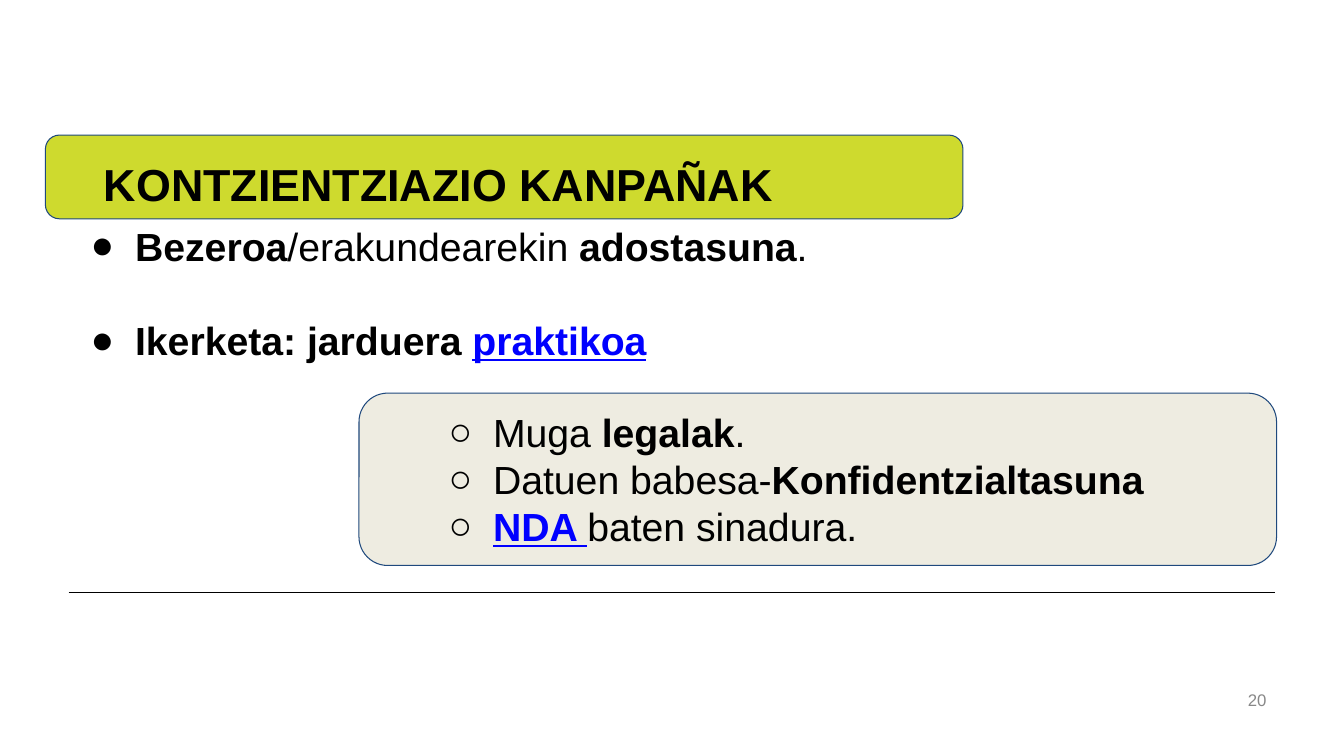
from dataclasses import dataclass

from lxml.etree import SubElement as Sub
from pptx import Presentation
from pptx.dml.color import RGBColor as RGB
from pptx.enum.shapes import MSO_CONNECTOR as Link, MSO_SHAPE as Form
from pptx.enum.text import MSO_ANCHOR as Anchor, MSO_AUTO_SIZE as Fit, PP_ALIGN as Align
from pptx.oxml.ns import qn
from pptx.slide import Slide
from pptx.text.text import TextFrame, _Paragraph as Para
from pptx.util import Inches, Pt

WIDE, HIGH = Inches(13.33), Inches(7.5)
BLACK = RGB(0x00, 0x00, 0x00)
LIME = RGB(0xCE, 0xDA, 0x2E)
SAND = RGB(0xEE, 0xEC, 0xE1)
NAVY = RGB(0x1F, 0x49, 0x7D)
BLUE = RGB(0x00, 0x00, 0xFF)
GREY = RGB(0x88, 0x88, 0x88)


@dataclass(frozen=True)
class Box:
    """A frame in percent of the slide's width and height."""
    left: float
    top: float
    width: float
    height: float

    def frame(self) -> tuple[int, int, int, int]:
        return (across(self.left), down(self.top),
                across(self.width), down(self.height))


@dataclass(frozen=True)
class Card:
    box: Box
    fill: RGB


@dataclass(frozen=True)
class Span:
    text: str
    bold: bool = False
    link: bool = False


@dataclass(frozen=True)
class Points:
    """A bulleted list; inset and indent in inches, gap in points."""
    slot: int
    box: Box
    mark: str
    level: int
    inset: float
    indent: float
    gap: float
    rows: tuple[tuple[Span, ...], ...]


CARDS = (
    Card(Box(3.38, 17.87, 68.27, 11.07), LIME),
    Card(Box(26.71, 52, 68.27, 22.8), SAND),
)
TITLE = Box(6.98, 19.33, 51.39, 6.53)
NUMBER = Box(71.64, 89.87, 23.33, 5.33)
LISTS = (
    Points(1, Box(5.55, 28.67, 80.42, 22.8), "●", 0, 0.05, 0.5, 34, (
        (Span("Bezeroa", True), Span("/erakundearekin "),
         Span("adostasuna", True), Span(".")),
        (Span("Ikerketa: jarduera ", True), Span("praktikoa", True, True)),
    )),
    Points(2, Box(28.43, 52.67, 71.57, 16.8), "○", 1, 0.1, 1, 0, (
        (Span("Muga "), Span("legalak", True), Span(".")),
        (Span("Datuen babesa-"), Span("Konfidentzialtasuna", True)),
        (Span("NDA ", True, True), Span("baten sinadura.")),
    )),
)


def across(share: float) -> int:
    return round(WIDE * share / 100)


def down(share: float) -> int:
    return round(HIGH * share / 100)


def set_up(text: TextFrame, inset: float, anchor: Anchor = Anchor.TOP) -> None:
    text.word_wrap = True
    text.auto_size = Fit.NONE
    text.vertical_anchor = anchor
    text.margin_left = text.margin_right = Inches(0.1)
    text.margin_top = text.margin_bottom = Inches(inset)


def style(para: Para, size: float, color: RGB, align: Align) -> None:
    para.alignment = align
    para.font.name = "Arial"
    para.font.size = Pt(size)
    para.font.color.rgb = color


def add_mark(para: Para, mark: str, indent: float) -> None:
    """Give the paragraph a black bullet and a hanging indent."""
    props = para._p.get_or_add_pPr()
    props.set("marL", str(Inches(indent)))
    props.set("indent", str(Inches(-0.44)))
    Sub(Sub(props, qn("a:buClr")), qn("a:srgbClr"), val=str(BLACK))
    Sub(props, qn("a:buFont"), typeface="Arial")
    Sub(props, qn("a:buChar"), char=mark)


def add_card(slide: Slide, card: Card) -> None:
    shape = slide.shapes.add_shape(Form.ROUNDED_RECTANGLE, *card.box.frame())
    shape.shadow.inherit = False
    shape.fill.solid()
    shape.fill.fore_color.rgb = card.fill
    shape.line.color.rgb = NAVY
    shape.line.width = Pt(0.75)


def add_rule(slide: Slide) -> None:
    row = down(78.4)
    rule = slide.shapes.add_connector(
        Link.STRAIGHT, across(5.1), row, across(94.9), row)
    rule.line.color.rgb = BLACK
    rule.line.width = Pt(0.75)
    Sub(rule._element.spPr, qn("a:effectLst"))


def place(slide: Slide, slot: int, box: Box) -> TextFrame:
    """Move a placeholder to its box, in front of what is drawn so far."""
    holder = slide.placeholders[slot]
    holder.left, holder.top, holder.width, holder.height = box.frame()
    slide.shapes._spTree.append(holder._element)
    return holder.text_frame


def add_title(slide: Slide) -> None:
    text = place(slide, 0, TITLE)
    set_up(text, 0.1)
    para = text.paragraphs[0]
    para.text = "KONTZIENTZIAZIO KANPAÑAK"
    style(para, 32, BLACK, Align.LEFT)
    para.font.bold = True


def add_points(slide: Slide, points: Points) -> None:
    text = place(slide, points.slot, points.box)
    set_up(text, points.inset)
    for rank, row in enumerate(points.rows):
        para = text.add_paragraph() if rank else text.paragraphs[0]
        para.level = points.level
        para.space_before = Pt(points.gap if rank else 0)
        add_mark(para, points.mark, points.indent)
        style(para, 28, BLACK, Align.JUSTIFY)
        for span in row:
            run = para.add_run()
            run.text = span.text
            run.font.bold = span.bold
            if span.link:
                run.font.underline = True
                run.font.color.rgb = BLUE


def add_number(slide: Slide) -> None:
    text = slide.shapes.add_textbox(*NUMBER.frame()).text_frame
    set_up(text, 0.05, Anchor.MIDDLE)
    para = text.paragraphs[0]
    para.text = "20"
    style(para, 12, GREY, Align.RIGHT)


def main() -> None:
    deck = Presentation()
    deck.slide_width, deck.slide_height = WIDE, HIGH
    slide = deck.slides.add_slide(deck.slide_layouts[3])
    add_rule(slide)
    for card in CARDS:
        add_card(slide, card)
    add_number(slide)
    add_title(slide)
    for points in LISTS:
        add_points(slide, points)
    deck.save("out.pptx")


if __name__ == "__main__":
    main()
